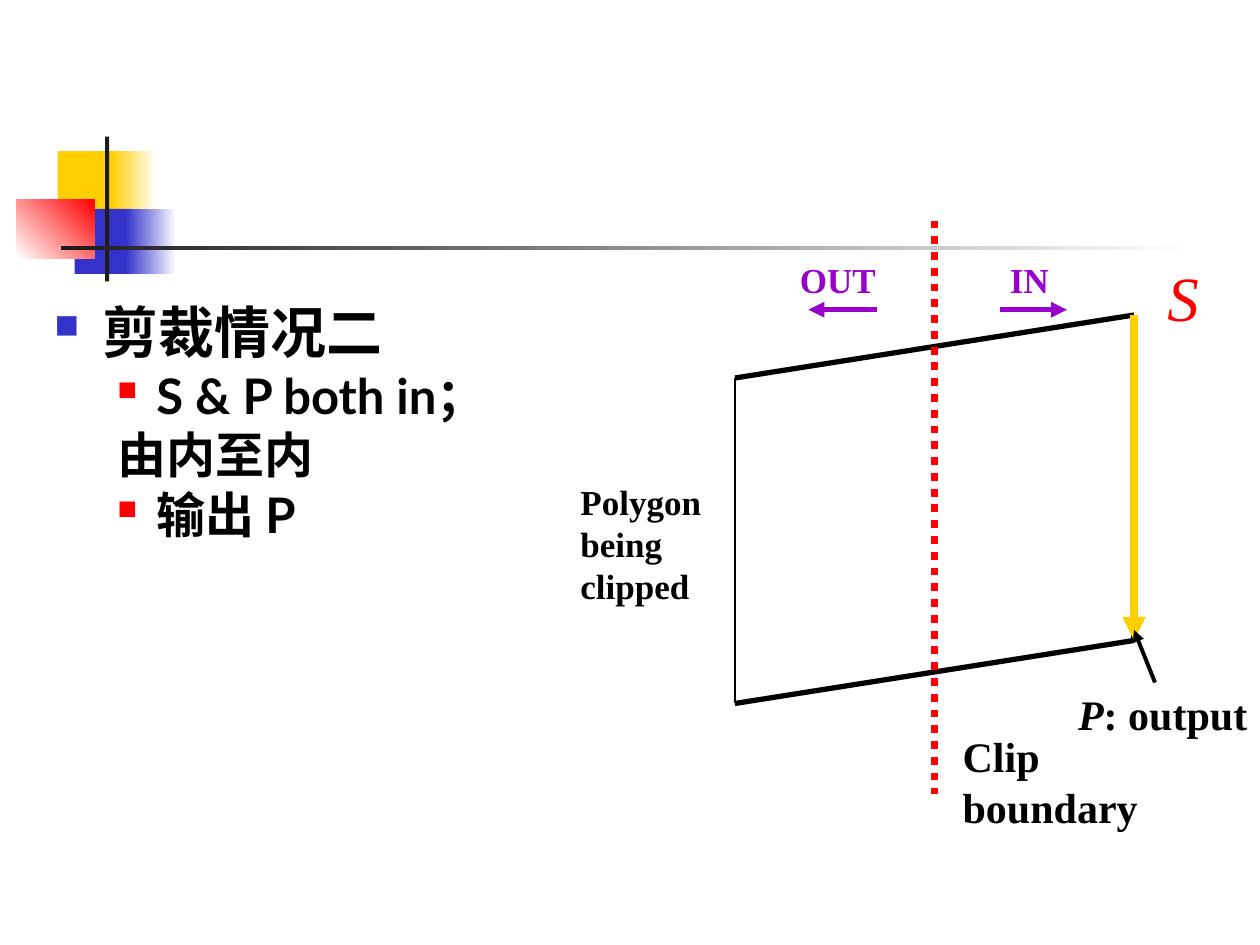
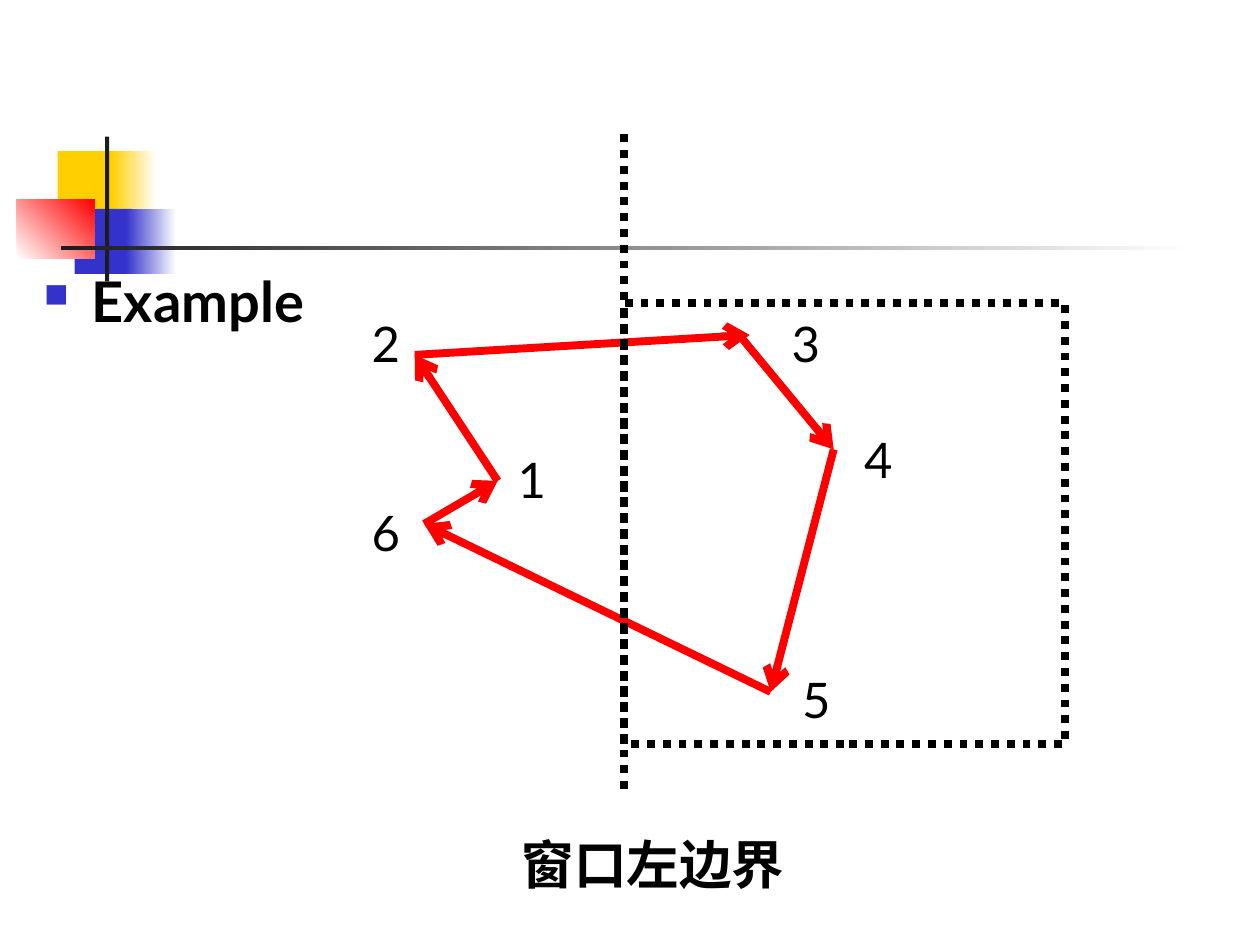
"""Build two slides on clipping a polygon against a window edge."""
from dataclasses import dataclass
from itertools import pairwise

from lxml import etree
from pptx import Presentation
from pptx import util as u
from pptx.dml.color import RGBColor
from pptx.enum import dml, shapes, text
from pptx.oxml.ns import qn

COLUMNS, ROWS = 120, 90
WIDTH, HEIGHT = u.Inches(10), u.Inches(7.5)
COLORS = {
    "white": "FFFFFF", "black": "000000", "ink": "1C1C1C", "gold": "FFCF01",
    "blue": "3333CC", "red": "FF0000", "purple": "9900CC",
}
SANS, SERIF = "Lato", "Times New Roman"


@dataclass(frozen=True)
class Area:
    left: float
    top: float
    width: float
    height: float


@dataclass(frozen=True)
class Band:
    area: Area
    start: str
    end: str = ""
    angle: float = 0


@dataclass(frozen=True)
class Stroke:
    start: tuple[float, float]
    end: tuple[float, float]
    color: str = "black"
    weight: float = 3
    arrow: str = ""
    dotted: bool = False


@dataclass(frozen=True)
class Label:
    area: Area
    words: str
    size: float
    color: str = "black"
    font: str = SERIF
    bold: bool = True
    italic_letters: int = 0
    centred: bool = False


@dataclass(frozen=True)
class Bullet:
    indent: float
    hanging: float
    size: float
    before: float
    color: str
    percent: int


@dataclass(frozen=True)
class Item:
    words: str
    style: Bullet
    marked: bool = True


@dataclass(frozen=True)
class Vertex:
    at: tuple[float, float]
    label_at: tuple[float, float]
    leave_shift: float = 0


TOPIC = Bullet(0.38, 0.38, 32, 8, "blue", 60)
POINT = Bullet(0.81, 0.31, 28, 7, "red", 55)

BANDS = [
    Band(Area(5.5, 14.4, 5.8, 6.2), "gold"),
    Band(Area(10.6, 14.4, 4.3, 6.2), "gold", "white"),
    Band(Area(7.1, 19.9, 5.5, 6.2), "blue"),
    Band(Area(12, 19.9, 4.8, 6.2), "blue", "white"),
    Band(Area(1.6, 19, 7.4, 5.6), "white", "red", 45),
    Band(Area(10, 13, 0.4, 13.8), "ink"),
    Band(Area(5.8, 23.4, 108, 0.4), "ink", "white"),
]

CLIP_ITEMS = [
    Item("剪裁情况二", TOPIC),
    Item("S & P both in；", POINT),
    Item("由内至内", POINT, marked=False),
    Item("输出 P", POINT),
]
TOP_LEFT, BOTTOM_LEFT = (70, 36), (70, 67)
TOP_RIGHT, BOTTOM_RIGHT = (108, 30), (108, 61)
CLIP_STROKES = [
    Stroke(TOP_LEFT, BOTTOM_LEFT, weight=1.5),
    Stroke(TOP_LEFT, TOP_RIGHT),
    Stroke(BOTTOM_LEFT, BOTTOM_RIGHT),
    Stroke(TOP_RIGHT, BOTTOM_RIGHT),
    Stroke(TOP_RIGHT, BOTTOM_RIGHT, "gold", 4.5, "triangle"),
    Stroke((89, 21), (89, 75.6), "red", 4.5, dotted=True),
    Stroke((110, 65), (108, 60), weight=2.25, arrow="triangle"),
    Stroke((83.5, 29.5), (77, 29.5), "purple", arrow="triangle"),
    Stroke((95.2, 29.5), (101.6, 29.5), "purple", arrow="triangle"),
]
CLIP_LABELS = [
    Label(Area(54.1, 45.2, 13.9, 13.2), "Polygon\nbeing\nclipped", 20),
    Label(Area(101.5, 65, 18.5, 6), "P: output", 24, italic_letters=1),
    Label(Area(90.5, 69, 19.1, 10.8), "Clip\nboundary", 24),
    Label(Area(110, 24, 5.4, 8.4), "S", 36, "red", bold=False, italic_letters=1),
    Label(Area(95, 24, 6.1, 5.3), "IN", 20, "purple"),
    Label(Area(75, 24, 9.6, 5.3), "OUT", 20, "purple"),
]

VERTICES = [
    Vertex((47.4, 45.8), (49.3, 42.8)),
    Vertex((39.5, 33.8), (35.4, 29.9)),
    Vertex((71.4, 31.9), (75.4, 29.9), leave_shift=-1),
    Vertex((79.4, 42.8), (82.3, 40.9)),
    Vertex((73.4, 65.9), (76.4, 63.8)),
    Vertex((40.4, 49.9), (35.4, 47.9)),
]
WINDOW = Area(59.4, 28.9, 42, 42)


def across(columns: float) -> int:
    """Convert grid columns to a length."""
    return round(WIDTH * columns / COLUMNS)


def down(rows: float) -> int:
    """Convert grid rows to a length."""
    return round(HEIGHT * rows / ROWS)


def place(area: Area) -> tuple[int, int, int, int]:
    """Return left, top, width and height of a grid area."""
    return across(area.left), down(area.top), across(area.width), down(area.height)


def rgb(color: str) -> RGBColor:
    """Look up a named colour."""
    return RGBColor.from_string(COLORS[color])


def style_line(line, color: str, weight: float, dotted: bool = False) -> None:
    """Set the colour, weight and dash of a line."""
    line.color.rgb = rgb(color)
    line.width = u.Pt(weight)
    if dotted:
        line.dash_style = dml.MSO_LINE.ROUND_DOT


def draw_band(page, band: Band) -> None:
    """Draw a plain or fading rectangle."""
    box = page.shapes.add_shape(shapes.MSO_SHAPE.RECTANGLE, *place(band.area))
    box.shadow.inherit = False
    box.line.fill.background()
    if not band.end:
        box.fill.solid()
        box.fill.fore_color.rgb = rgb(band.start)
        return
    box.fill.gradient()
    box.fill.gradient_angle = band.angle
    for stop, color in zip(box.fill.gradient_stops, (band.start, band.end)):
        stop.color.rgb = rgb(color)


def draw_stroke(page, stroke: Stroke) -> None:
    """Draw a straight line, with an arrowhead if asked."""
    (left, top), (right, bottom) = stroke.start, stroke.end
    line = page.shapes.add_connector(
        shapes.MSO_CONNECTOR.STRAIGHT, across(left), down(top), across(right), down(bottom))
    style_line(line.line, stroke.color, stroke.weight, stroke.dotted)
    properties = line.element.spPr
    if stroke.arrow:
        etree.SubElement(properties.find(qn("a:ln")), qn("a:tailEnd"), type=stroke.arrow)
    etree.SubElement(properties, qn("a:effectLst"))


def write(para, words: str, *, size: float, font: str = SANS, color: str = "black",
          bold: bool = True, italic: bool = False) -> None:
    """Add formatted words to a paragraph."""
    span = para.add_run()
    span.text = words
    span.font.name = font
    span.font.size = u.Pt(size)
    span.font.bold = bold
    span.font.italic = italic
    span.font.color.rgb = rgb(color)


def draw_label(page, label: Label) -> None:
    """Draw a label of one or more lines."""
    frame = page.shapes.add_textbox(*place(label.area)).text_frame
    frame.word_wrap = False
    if label.centred:
        frame.margin_left = frame.margin_right = frame.margin_top = frame.margin_bottom = 0
        frame.vertical_anchor = text.MSO_ANCHOR.MIDDLE
    for index, words in enumerate(label.words.split("\n")):
        para = frame.add_paragraph() if index else frame.paragraphs[0]
        if label.centred:
            para.alignment = text.PP_ALIGN.CENTER
        cut = label.italic_letters
        for part, italic in ((words[:cut], True), (words[cut:], False)):
            if part:
                write(para, part, size=label.size, font=label.font, color=label.color,
                      bold=label.bold, italic=italic)


def set_bullet(para, item: Item) -> None:
    """Set the indents and the square mark of a list item."""
    style = item.style
    properties = para._p.get_or_add_pPr()
    properties.set("marL", str(u.Inches(style.indent)))
    properties.set("indent", str(-u.Inches(style.hanging)))
    if not item.marked:
        etree.SubElement(properties, qn("a:buNone"))
        return
    tint = etree.SubElement(properties, qn("a:buClr"))
    etree.SubElement(tint, qn("a:srgbClr"), val=COLORS[style.color])
    etree.SubElement(properties, qn("a:buSzPct"), val=str(style.percent * 1000))
    etree.SubElement(properties, qn("a:buChar"), char="■")


def draw_list(page, area: Area, items: list[Item]) -> None:
    """Draw the bulleted list of a slide."""
    frame = page.shapes.add_textbox(*place(area)).text_frame
    frame.word_wrap = True
    for index, item in enumerate(items):
        para = frame.add_paragraph() if index else frame.paragraphs[0]
        set_bullet(para, item)
        para.line_spacing = 0.8
        if index:
            para.space_before = u.Pt(item.style.before)
        write(para, item.words, size=item.style.size)


def add_page(deck):
    """Add a blank slide with the shared bands."""
    page = deck.slides.add_slide(deck.slide_layouts[6])
    for band in BANDS:
        draw_band(page, band)
    return page


def build_clip_case(deck) -> None:
    """Build the slide on an edge that stays inside."""
    page = add_page(deck)
    draw_list(page, Area(4, 29, 50, 34), CLIP_ITEMS)
    for stroke in CLIP_STROKES:
        draw_stroke(page, stroke)
    for label in CLIP_LABELS:
        draw_label(page, label)


def build_example(deck) -> None:
    """Build the slide with a numbered polygon and a window."""
    page = add_page(deck)
    for tail, tip in pairwise(VERTICES + VERTICES[:1]):
        start = (tail.at[0] + tail.leave_shift, tail.at[1])
        draw_stroke(page, Stroke(start, tip.at, "red", 4.5, "arrow"))
    for number, vertex in enumerate(VERTICES, 1):
        draw_label(page, Label(Area(*vertex.label_at, 2.6, 5.6), str(number), 28,
                               font=SANS, bold=False, centred=True))
    window = page.shapes.add_shape(shapes.MSO_SHAPE.RECTANGLE, *place(WINDOW))
    window.shadow.inherit = False
    window.fill.background()
    style_line(window.line, "black", 4.5, dotted=True)
    draw_stroke(page, Stroke((WINDOW.left, 12.8), (WINDOW.left, 75.8), weight=4.5, dotted=True))
    draw_label(page, Label(Area(48.5, 78.7, 27.4, 7.2), "窗口左边界", 30, font=SANS))
    draw_list(page, Area(3, 26, 53, 10), [Item("Example", TOPIC)])


def main() -> None:
    """Build and save the deck."""
    deck = Presentation()
    deck.slide_width, deck.slide_height = WIDTH, HEIGHT
    build_clip_case(deck)
    build_example(deck)
    deck.save("out.pptx")


if __name__ == "__main__":
    main()
